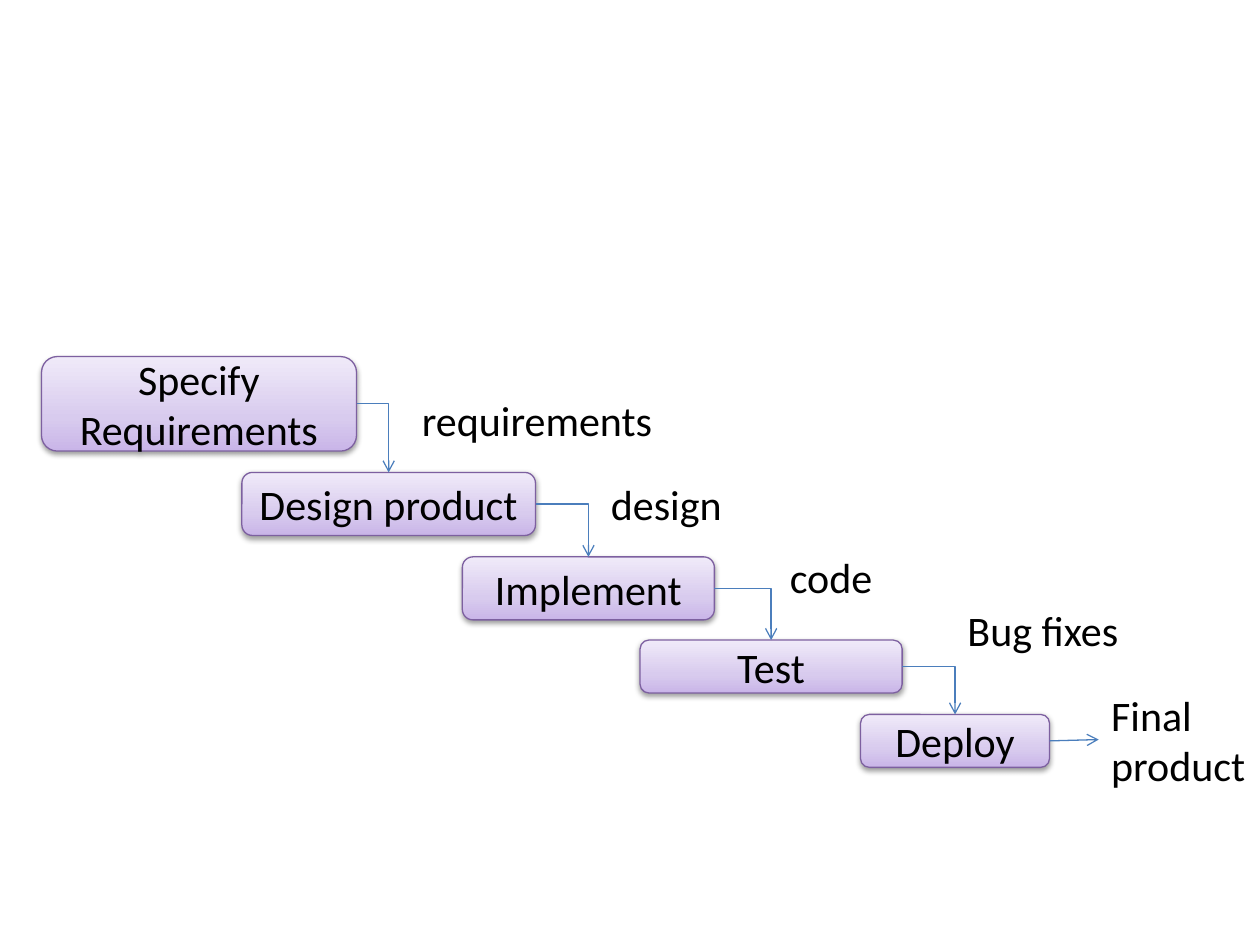
import pptx
import pptx.dml.color
import pptx.enum.shapes
import pptx.enum.text
import pptx.oxml
import pptx.oxml.ns
import pptx.util
import lxml.etree

Inches = pptx.util.Inches
Pt = pptx.util.Pt

# Content: steps and outputs, each with left, top, width, height in inches
STEPS = [
    ("Specify Requirements", 0.33, 2.83, 2.5, 0.75),
    ("Design product", 1.92, 3.75, 2.33, 0.5),
    ("Implement", 3.67, 4.42, 2, 0.5),
    ("Test", 5.08, 5.08, 2.08, 0.42),
    ("Deploy", 6.83, 5.67, 1.5, 0.42),
]
OUTPUTS = [
    ("requirements", 3.25, 3.08, 2.05, 0.5),
    ("design", 4.75, 3.75, 1.09, 0.5),
    ("code", 6.17, 4.33, 0.86, 0.5),
    ("Bug fixes", 7.58, 4.75, 1.41, 0.5),
    ("Final\vproduct", 8.72, 5.42, 1.28, 0.91),
]
COLOURS = {
    "text": "000000",
    "outline": "7D60A0",
    "arrow": "4B7EBC",
    "shadow": "000000",
    "bottom": "C9B5E8",
    "middle": "D8CBEE",
    "top": "F0EAF9",
}
GRADIENT = [(0, "bottom"), (35, "middle"), (100, "top")]
TOP, RIGHT = 0, 3


def rgb(name):
    return pptx.dml.color.RGBColor.from_string(COLOURS[name])


def parse_drawing(xml):
    """Parse an element whose tag uses the drawing namespace."""
    namespace = pptx.oxml.ns.nsdecls("a")
    return pptx.oxml.parse_xml(xml.replace(">", f" {namespace}>", 1))


def write_text(box, text, size=24, font="Calibri", colour="text",
               align=None, anchor=None, wrap=True):
    frame = box.text_frame
    frame.word_wrap = wrap
    frame.vertical_anchor = anchor
    para = frame.paragraphs[0]
    para.text = text
    para.alignment = align
    for span in para.runs:
        span.font.size = Pt(size)
        span.font.name = font
        span.font.color.rgb = rgb(colour)


def shade(box):
    """Give a box its vertical gradient, outline and soft shadow."""
    box.fill.gradient()
    box.fill.gradient_angle = 90
    properties = box._element.spPr
    stops = properties.find(".//" + pptx.oxml.ns.qn("a:gsLst"))
    for stop in list(stops):
        stops.remove(stop)
    for position, name in GRADIENT:
        stops.append(parse_drawing(
            f'<a:gs pos="{position * 1000}">'
            f'<a:srgbClr val="{COLOURS[name]}"/></a:gs>'))
    box.line.color.rgb = rgb("outline")
    box.line.width = Pt(0.75)
    box.shadow.inherit = False
    properties.find(pptx.oxml.ns.qn("a:effectLst")).append(parse_drawing(
        '<a:outerShdw blurRad="40000" dist="20000" dir="5400000" rotWithShape="0">'
        f'<a:srgbClr val="{COLOURS["shadow"]}"><a:alpha val="38000"/></a:srgbClr>'
        '</a:outerShdw>'))


def add_arrow(page, kind, source, target=None, end=(0, 0)):
    arrow = page.shapes.add_connector(kind, 0, 0, *end)
    arrow.begin_connect(source, RIGHT)
    if target is not None:
        arrow.end_connect(target, TOP)
        # A single bend: right, then down
        arrow._element.spPr.find(pptx.oxml.ns.qn("a:prstGeom")).set(
            "prst", "bentConnector2")
    arrow.line.color.rgb = rgb("arrow")
    arrow.line.width = Pt(0.75)
    arrow.line._get_or_add_ln().append(parse_drawing('<a:tailEnd type="arrow"></a:tailEnd>'))
    lxml.etree.SubElement(arrow._element.spPr, pptx.oxml.ns.qn("a:effectLst"))


def main():
    deck = pptx.Presentation()
    deck.slide_width, deck.slide_height = Inches(10), Inches(7.5)
    page = deck.slides.add_slide(deck.slide_layouts[6])

    # Waterfall steps
    boxes = []
    for text, *place in STEPS:
        box = page.shapes.add_shape(
            pptx.enum.shapes.MSO_SHAPE.ROUNDED_RECTANGLE, *map(Inches, place))
        shade(box)
        write_text(box, text, align=pptx.enum.text.PP_ALIGN.CENTER,
                   anchor=pptx.enum.text.MSO_ANCHOR.MIDDLE)
        boxes.append(box)

    # Arrows from each step to the next, then out to the final product
    connectors = pptx.enum.shapes.MSO_CONNECTOR
    for source, target in zip(boxes, boxes[1:]):
        add_arrow(page, connectors.ELBOW, source, target)
    add_arrow(page, connectors.STRAIGHT, boxes[-1],
              end=(Inches(8.72), Inches(5.87)))

    # Output of each step
    for text, *place in OUTPUTS:
        label = page.shapes.add_textbox(*map(Inches, place))
        write_text(label, text, wrap=False)
        label.text_frame.auto_size = pptx.enum.text.MSO_AUTO_SIZE.SHAPE_TO_FIT_TEXT

    deck.save("out.pptx")


if __name__ == "__main__":
    main()
